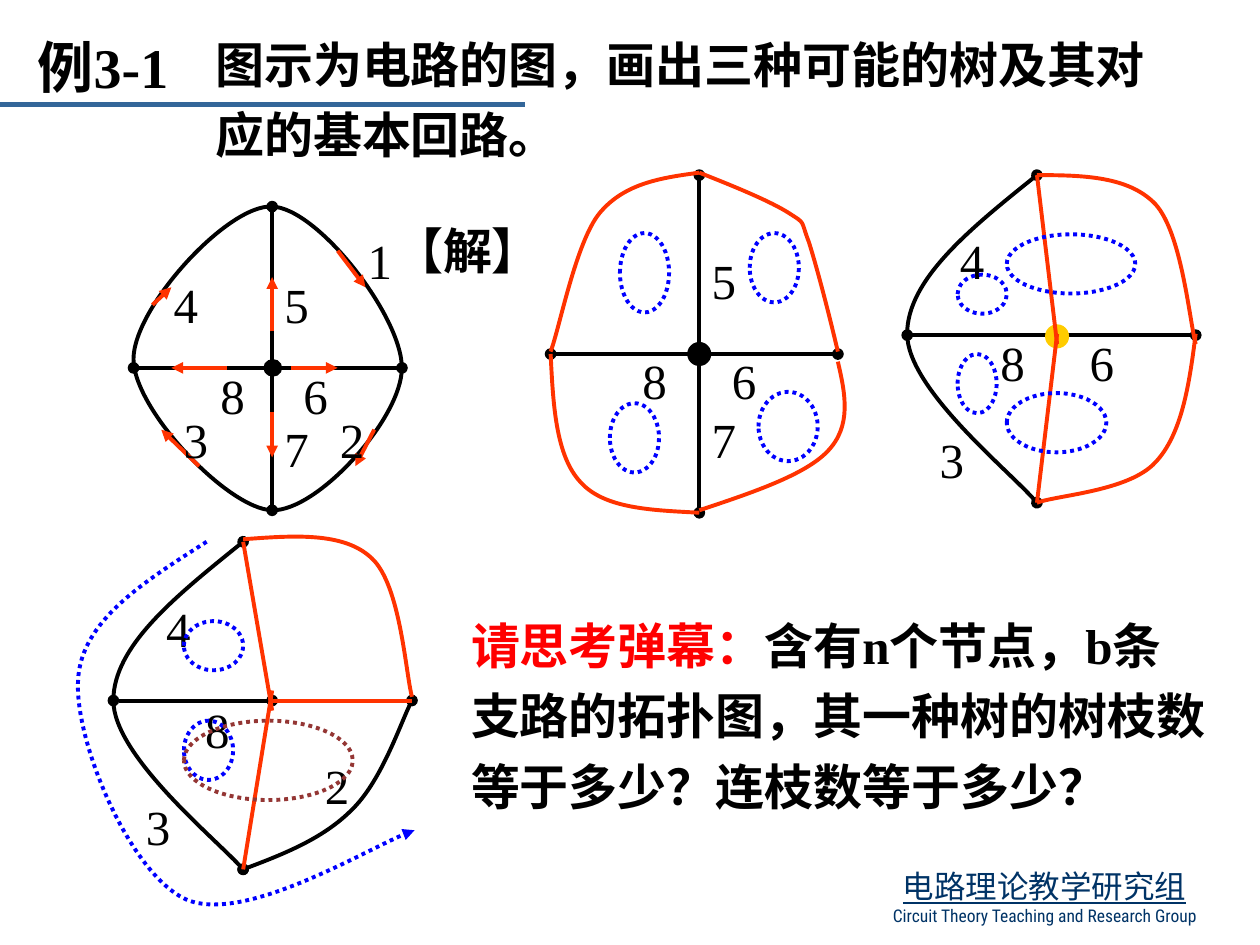
from dataclasses import dataclass

from lxml import etree
from pptx import Presentation
from pptx import util as u
from pptx.dml.color import RGBColor
from pptx.enum import dml, shapes, text
from pptx.oxml.ns import qn

BLACK = RGBColor(0x00, 0x00, 0x00)
WHITE = RGBColor(0xFF, 0xFF, 0xFF)
RED = RGBColor(0xFF, 0x00, 0x00)
ORANGE = RGBColor(0xFF, 0x33, 0x00)
GOLD = RGBColor(0xFF, 0xCC, 0x00)
BLUE = RGBColor(0x00, 0x00, 0xFF)
BROWN = RGBColor(0x94, 0x36, 0x34)
STEEL = RGBColor(0x33, 0x66, 0x99)
NAVY = RGBColor(0x00, 0x33, 0x66)


@dataclass
class GraphSlide:
    """Draws circuit graphs and their labels on one slide."""

    s: object
    font: str = "Times New Roman"
    cjk: str = "Noto Sans CJK SC"
    size: float = 28
    weight: float = 2.25

    def stroke(self, sp, color, weight=None, dotted=False, head=None, tail=None):
        sp.line.color.rgb = color
        sp.line.width = u.Pt(weight or self.weight)
        if dotted:
            sp.line.dash_style = dml.MSO_LINE.ROUND_DOT
        ln = sp._element.spPr.find(qn("a:ln"))
        for tag, kind in (("a:headEnd", head), ("a:tailEnd", tail)):
            if kind:
                etree.SubElement(ln, qn(tag), type=kind)

    def line(self, x1, y1, x2, y2, color=BLACK, **style):
        ends = [u.Inches(v) for v in (x1, y1, x2, y2)]
        sp = self.s.shapes.add_connector(shapes.MSO_CONNECTOR.STRAIGHT, *ends)
        self.stroke(sp, color, **style)
        etree.SubElement(sp._element.spPr, qn("a:effectLst"))

    def curve(self, points, color=BLACK, closed=False, **style):
        start, *rest = [(u.Inches(x), u.Inches(y)) for x, y in points]
        builder = self.s.shapes.build_freeform(*start)
        builder.add_line_segments(rest, close=closed)
        sp = builder.convert_to_shape()
        sp.shadow.inherit = False
        sp.fill.background()
        segments = list(sp._element.iter(qn("a:lnTo")))
        for i in range(0, len(segments), 3):
            bezier = etree.Element(qn("a:cubicBezTo"))
            segments[i].addprevious(bezier)
            for segment in segments[i:i + 3]:
                bezier.append(segment[0])
                segment.getparent().remove(segment)
        self.stroke(sp, color, **style)

    def shape(self, kind, box, fill=None):
        sp = self.s.shapes.add_shape(kind, *[u.Inches(v) for v in box])
        sp.shadow.inherit = False
        sp.line.fill.background()
        if fill is None:
            sp.fill.background()
        else:
            sp.fill.solid()
            sp.fill.fore_color.rgb = fill
        return sp

    def node(self, box, color):
        self.stroke(self.shape(shapes.MSO_SHAPE.OVAL, box, color), color)

    def loop(self, box, color=BLUE):
        self.stroke(self.shape(shapes.MSO_SHAPE.OVAL, box), color, dotted=True)

    def format_run(self, r, color=BLACK, size=None, bold=False, font=None):
        r.font.name = font or self.font
        r.font.size = u.Pt(size or self.size)
        r.font.bold = bold
        r.font.color.rgb = color
        etree.SubElement(r._r.get_or_add_rPr(), qn("a:ea"), typeface=self.cjk)

    def frame(self, sp):
        tf = sp.text_frame
        tf.word_wrap = True
        tf.auto_size = text.MSO_AUTO_SIZE.SHAPE_TO_FIT_TEXT
        return tf

    def textbox(self, box, words, spacing=None, **style):
        sp = self.s.shapes.add_textbox(*[u.Inches(v) for v in box])
        tf = self.frame(sp)
        tf.text = words
        for p in tf.paragraphs:
            p.line_spacing = spacing
            for r in p.runs:
                self.format_run(r, **style)
        return tf

    def labels(self, width, places):
        for words, x, y in places:
            self.textbox((x, y, width, 0.57), words)

    def panel(self, box, parts):
        sp = self.shape(shapes.MSO_SHAPE.RECTANGLE, box, WHITE)
        tf = self.frame(sp)
        tf.vertical_anchor = text.MSO_ANCHOR.TOP
        p = tf.paragraphs[0]
        p.alignment = text.PP_ALIGN.LEFT
        p.line_spacing = 1.2
        for words, color in parts:
            r = p.add_run()
            r.text = words
            self.format_run(r, color, bold=True)


def draw_footer(g):
    tf = g.textbox((6.75, 6.83, 3.08, 0.57),
                   "电路理论教学研究组\nCircuit Theory Teaching and Research Group", color=NAVY)
    for p, size, font in zip(tf.paragraphs, (18, 10), (g.cjk, "Roboto Condensed")):
        p.alignment = text.PP_ALIGN.CENTER
        p.runs[0].font.size = u.Pt(size)
        p.runs[0].font.name = font
    tf.paragraphs[0].runs[0].font.underline = True


def draw_given_graph(g):
    g.line(1.06, 2.92, 3.19, 2.92, **DOTS)
    g.line(2.16, 1.64, 2.16, 4.05, **DOTS)
    g.curve([(2.16, 1.64), (2.52, 1.65), (3.19, 2.51), (3.19, 2.92), (3.19, 3.32), (2.52, 4.06),
             (2.16, 4.05), (1.81, 4.04), (1.06, 3.25), (1.06, 2.85), (1.06, 2.44), (1.81, 1.62),
             (2.16, 1.64)], closed=True)
    g.shape(shapes.MSO_SHAPE.OVAL, (2.09, 2.85, 0.15, 0.14), BLACK)
    for ends in [(1.21, 2.42, 1.36, 2.28), (1.8, 2.92, 1.36, 2.92), (2.31, 2.92, 2.68, 2.92),
                 (2.16, 2.63, 2.16, 2.2), (2.16, 3.27, 2.16, 3.63), (1.58, 3.7, 1.28, 3.41),
                 (2.97, 3.41, 2.82, 3.7), (2.68, 1.99, 2.9, 2.28)]:
        g.line(*ends, ORANGE, tail="triangle")
    g.labels(0.37, [("8", 1.65, 2.85), ("7", 2.16, 3.27), ("6", 2.31, 2.85), ("5", 2.16, 2.13),
                    ("4", 1.28, 2.13), ("3", 1.36, 3.2), ("2", 2.6, 3.2), ("1", 2.82, 1.78)])


def draw_first_tree(g):
    g.line(4.37, 2.81, 6.65, 2.81, **DOTS)
    g.line(5.55, 1.39, 5.55, 4.07, **DOTS)
    g.node((5.47, 2.73, 0.16, 0.16), BLACK)
    g.labels(0.39, [("8", 5, 2.73), ("7", 5.55, 3.2), ("6", 5.71, 2.73), ("5", 5.55, 1.94)])
    for points in [
        [(5.55, 1.37), (5.26, 1.41), (4.96, 1.45), (4.76, 1.69), (4.57, 1.92), (4.44, 2.61),
         (4.37, 2.79)],
        [(5.55, 1.37), (5.83, 1.48), (6.12, 1.6), (6.26, 1.69), (6.4, 1.78), (6.35, 1.74),
         (6.42, 1.92), (6.48, 2.11), (6.57, 2.45), (6.65, 2.79)],
        [(4.37, 2.81), (4.39, 3.21), (4.41, 3.62), (4.61, 3.83), (4.8, 4.04), (5.18, 4.05),
         (5.55, 4.07)],
        [(6.65, 2.87), (6.71, 3.13), (6.76, 3.38), (6.57, 3.58), (6.39, 3.77), (5.97, 3.91),
         (5.55, 4.05)],
    ]:
        g.curve(points, ORANGE)
    for box in [(4.92, 1.85, 0.39, 0.63), (5.95, 1.85, 0.39, 0.55), (4.84, 3.2, 0.39, 0.55),
                (6.02, 3.11, 0.47, 0.55)]:
        g.loop(box)


def draw_second_tree(g):
    g.line(7.2, 2.66, 9.49, 2.66, **DOTS)
    g.node((8.31, 2.59, 0.16, 0.16), GOLD)
    g.labels(0.39, [("8", 7.84, 2.59), ("6", 8.55, 2.59), ("4", 7.52, 1.78), ("3", 7.36, 3.36)])
    g.curve([(8.23, 1.39), (7.72, 1.8), (7.2, 2.22), (7.2, 2.65), (7.2, 3.08), (8.04, 3.76),
             (8.23, 3.99)], **DOTS)
    g.curve([(8.23, 1.39), (8.6, 1.39), (8.96, 1.4), (9.17, 1.62), (9.38, 1.85), (9.44, 2.54),
             (9.49, 2.73)], ORANGE)
    g.curve([(9.49, 2.65), (9.44, 3.05), (9.38, 3.45), (9.17, 3.67), (8.96, 3.9), (8.39, 3.93),
             (8.23, 3.99)], ORANGE)
    g.line(8.23, 1.39, 8.39, 2.73, ORANGE)
    g.line(8.39, 2.65, 8.23, 3.99, ORANGE)
    for box in [(7.99, 1.86, 1.02, 0.47), (7.99, 3.12, 0.79, 0.47), (7.6, 2.18, 0.39, 0.31),
                (7.6, 2.81, 0.31, 0.47)]:
        g.loop(box)


def draw_third_tree(g):
    g.labels(0.39, [("8", 1.53, 5.5), ("2", 2.48, 5.95), ("4", 1.22, 4.7), ("3", 1.06, 6.27)])
    g.curve([(1.93, 4.3), (1.41, 4.72), (0.9, 5.13), (0.9, 5.56), (0.9, 5.99), (1.74, 6.68),
             (1.93, 6.9)], **DOTS)
    g.line(0.9, 5.56, 2.16, 5.56, **DOTS)
    g.curve([(1.93, 6.9), (2.25, 6.78), (2.57, 6.65), (2.79, 6.43), (3.02, 6.21), (3.19, 5.71),
             (3.27, 5.56)], **DOTS)
    for ends in [(1.93, 4.3, 2.16, 5.64), (2.16, 5.48, 1.93, 6.9), (2.16, 5.56, 3.27, 5.56)]:
        g.line(*ends, ORANGE)
    g.loop((1.46, 4.93, 0.47, 0.39))
    g.loop((1.46, 5.72, 0.39, 0.47))
    g.loop((1.46, 5.72, 1.34, 0.63), BROWN)
    g.curve([(1.93, 4.28), (2.33, 4.25), (2.73, 4.22), (2.95, 4.43), (3.18, 4.64), (3.22, 5.35),
             (3.27, 5.53)], ORANGE)
    g.curve([(1.64, 4.3), (1.14, 4.62), (0.64, 4.93), (0.62, 5.4), (0.59, 5.88), (1.03, 6.94),
             (1.48, 7.14), (1.93, 7.33), (3.01, 6.68), (3.29, 6.59)],
            BLUE, dotted=True, tail="triangle")


DOTS = {"head": "oval", "tail": "oval"}


def main():
    prs = Presentation()
    prs.slide_width, prs.slide_height = u.Inches(10), u.Inches(7.5)
    g = GraphSlide(prs.slides.add_slide(prs.slide_layouts[6]))
    draw_footer(g)
    g.line(0, 0.83, 4.17, 0.83, STEEL, weight=3)
    g.textbox((0.2, 0.21, 1.49, 0.63), "例3-1", size=32, bold=True)
    g.textbox((1.61, 0.13, 7.72, 1.22), "图示为电路的图，画出三种可能的树及其对应的基本回路。",
              spacing=1.2, bold=True)
    for draw in (draw_given_graph, draw_first_tree, draw_second_tree, draw_third_tree):
        draw(g)
    g.textbox((3.03, 1.7, 1.5, 0.57), "【解】", bold=True)
    g.panel((3.64, 4.74, 6.04, 1.8), [
        ("请思考弹幕：", RED),
        ("含有n个节点，b条支路的拓扑图，其一种树的树枝数等于多少？连枝数等于多少？", BLACK)])
    prs.save("out.pptx")


if __name__ == "__main__":
    main()
